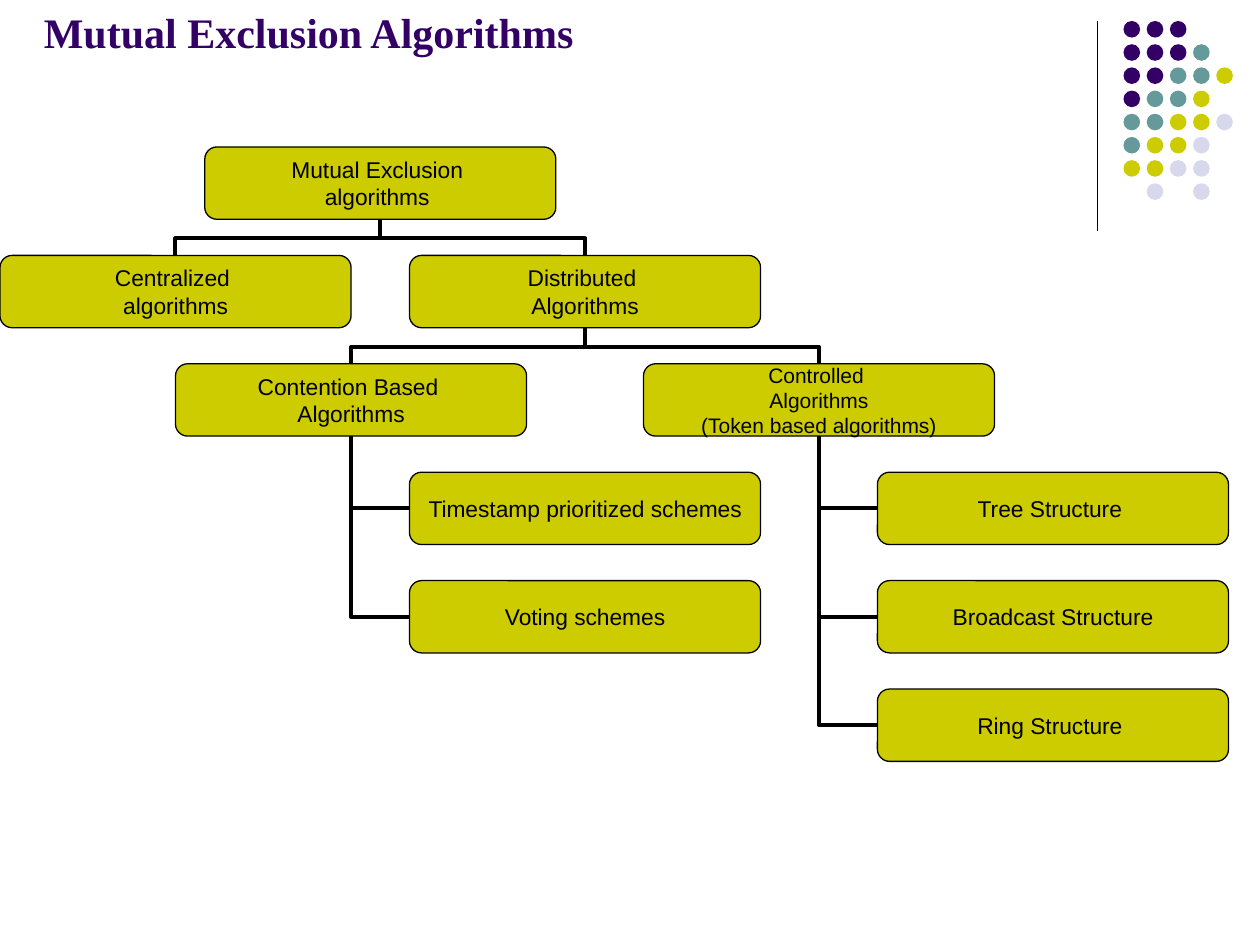
from dataclasses import dataclass

from lxml import etree
from pptx import Presentation
from pptx.dml.color import RGBColor
from pptx.enum.shapes import MSO_CONNECTOR, MSO_SHAPE
from pptx.enum.text import MSO_ANCHOR, PP_ALIGN
from pptx.oxml.ns import qn
from pptx.util import Pt

ROUNDED, OVAL = MSO_SHAPE.ROUNDED_RECTANGLE, MSO_SHAPE.OVAL
STRAIGHT, ELBOW = MSO_CONNECTOR.STRAIGHT, MSO_CONNECTOR.ELBOW
LEFT, CENTER = PP_ALIGN.LEFT, PP_ALIGN.CENTER
TOP, MIDDLE = MSO_ANCHOR.TOP, MSO_ANCHOR.MIDDLE


@dataclass(frozen=True)
class Theme:
    purple: RGBColor = RGBColor(0x33, 0x00, 0x66)
    teal: RGBColor = RGBColor(0x66, 0x99, 0x99)
    olive: RGBColor = RGBColor(0xCC, 0xCC, 0x00)
    lilac: RGBColor = RGBColor(0xD8, 0xD8, 0xEC)
    black: RGBColor = RGBColor(0x00, 0x00, 0x00)
    title_font: str = "Times New Roman"
    body_font: str = "Arial"
    title_size: int = 24
    node_size: int = 13
    small_size: int = 12
    thin: float = 0.75
    thick: float = 2.25


theme = Theme()


def write_text(box, text, *, font, size, color, bold=False, align=LEFT,
               anchor=TOP, margins=(0, 0), wrap=False):
    frame = box.text_frame
    frame.word_wrap = wrap
    frame.vertical_anchor = anchor
    frame.margin_left = frame.margin_right = Pt(margins[0])
    frame.margin_top = frame.margin_bottom = Pt(margins[1])
    for index, line_text in enumerate(text.split("\n")):
        para = frame.paragraphs[0] if index == 0 else frame.add_paragraph()
        para.alignment = align
        span = para.add_run()
        span.text = line_text
        span.font.name = font
        span.font.size = Pt(size)
        span.font.bold = bold
        span.font.color.rgb = color


def draw_line(kind, start, end, weight):
    line = page.shapes.add_connector(kind, *map(Pt, start + end))
    line.line.color.rgb = theme.black
    line.line.width = Pt(weight)
    etree.SubElement(line._element.spPr, qn("a:effectLst"))
    return line


deck = Presentation()
deck.slide_width, deck.slide_height = Pt(720), Pt(540)
page = deck.slides.add_slide(deck.slide_layouts[6])

# Divider and dot pattern in the top right corner
draw_line(STRAIGHT, (627, 12.2), (627, 132), theme.thin)
dot_colors = {"P": theme.purple, "T": theme.teal, "Y": theme.olive, "L": theme.lilac}
dot_rows = ["PPP", "PPPT", "PPTTY", "PTTY", "TTYYL", "TYYL", "YYLL", ".L.L"]
dot_pitch, dot_size = 13.25, 9.5
dots = page.shapes.add_group_shape()
for row, codes in enumerate(dot_rows):
    for column, code in enumerate(codes):
        if code in dot_colors:
            dot = dots.shapes.add_shape(
                OVAL, Pt(642 + column * dot_pitch), Pt(12 + row * dot_pitch),
                Pt(dot_size), Pt(dot_size))
            dot.shadow.inherit = False
            dot.fill.solid()
            dot.fill.fore_color.rgb = dot_colors[code]
            dot.line.fill.background()

# Tree nodes: key, parent, left, level, text
nodes = [
    ("root", None, 117, 0, "Mutual Exclusion \nalgorithms "),
    ("centralized", "root", 0, 1, "Centralized \nalgorithms"),
    ("distributed", "root", 234, 1, "Distributed \nAlgorithms"),
    ("contention", "distributed", 100.3, 2, "Contention Based \nAlgorithms"),
    ("controlled", "distributed", 367.7, 2,
     "Controlled \nAlgorithms\n(Token based algorithms)"),
    ("tree", "controlled", 501.4, 3, "Tree Structure "),
    ("broadcast", "controlled", 501.4, 4, "Broadcast Structure"),
    ("ring", "controlled", 501.4, 5, "Ring Structure "),
    ("timestamp", "contention", 234, 3, "Timestamp prioritized schemes"),
    ("voting", "contention", 234, 4, "Voting schemes"),
]
node_width, node_height, first_top, level_pitch = 200.6, 41.3, 84, 61.95
boxes, corners = {}, {}
for key, parent, left, level, text in nodes:
    top = first_top + level * level_pitch
    box = page.shapes.add_shape(ROUNDED, Pt(left), Pt(top),
                                Pt(node_width), Pt(node_height))
    box.shadow.inherit = False
    box.fill.solid()
    box.fill.fore_color.rgb = theme.olive
    box.line.color.rgb = theme.black
    box.line.width = Pt(theme.thin)
    size = theme.small_size if text.count("\n") == 2 else theme.node_size
    write_text(box, text, font=theme.body_font, size=size, color=theme.black,
               align=CENTER, anchor=MIDDLE)
    boxes[key], corners[key] = box, (left, top)

# Elbows from each node to its parent, behind the boxes
for key, parent, left, level, text in nodes:
    if parent is None:
        continue
    parent_left, parent_top = corners[parent]
    end = (parent_left + node_width / 2, parent_top + node_height)
    hangs_below = level < 3
    if hangs_below:
        start = (left + node_width / 2, corners[key][1])
    else:
        start = (left, corners[key][1] + node_height / 2)
    line = draw_line(ELBOW, start, end, theme.thick)
    line.begin_connect(boxes[key], 0 if hangs_below else 1)
    line.end_connect(boxes[parent], 2)

    # Turn the elbow so that it leaves the node at a right angle
    across, rise = abs(end[0] - start[0]), start[1] - end[1]
    width, height = (rise, across) if hangs_below else (across, rise)
    line.left = Pt((start[0] + end[0] - width) / 2)
    line.top = Pt((start[1] + end[1] - height) / 2)
    line.width, line.height = Pt(width), Pt(height)
    is_left = start[0] < end[0]
    degrees = (90 if is_left else 270) if hangs_below else 180
    frame = line._element.spPr.find(qn("a:xfrm"))
    frame.set("rot", str(degrees * 60000))
    frame.set("flipH", str(int(hangs_below and is_left)))
    frame.set("flipV", str(int(hangs_below)))
    geometry = line._element.spPr.find(qn("a:prstGeom"))
    if hangs_below:
        etree.SubElement(geometry.find(qn("a:avLst")), qn("a:gd"),
                         name="adj1", fmla="val 46700")
    else:
        geometry.set("prst", "bentConnector2")
    boxes["root"]._element.addprevious(line._element)

# Title
title = page.shapes.add_textbox(Pt(18), Pt(0), Pt(582), Pt(36))
write_text(title, "Mutual Exclusion Algorithms", font=theme.title_font,
           size=theme.title_size, color=theme.purple, bold=True,
           margins=(7.2, 3.6), wrap=True)

deck.save("out.pptx")
